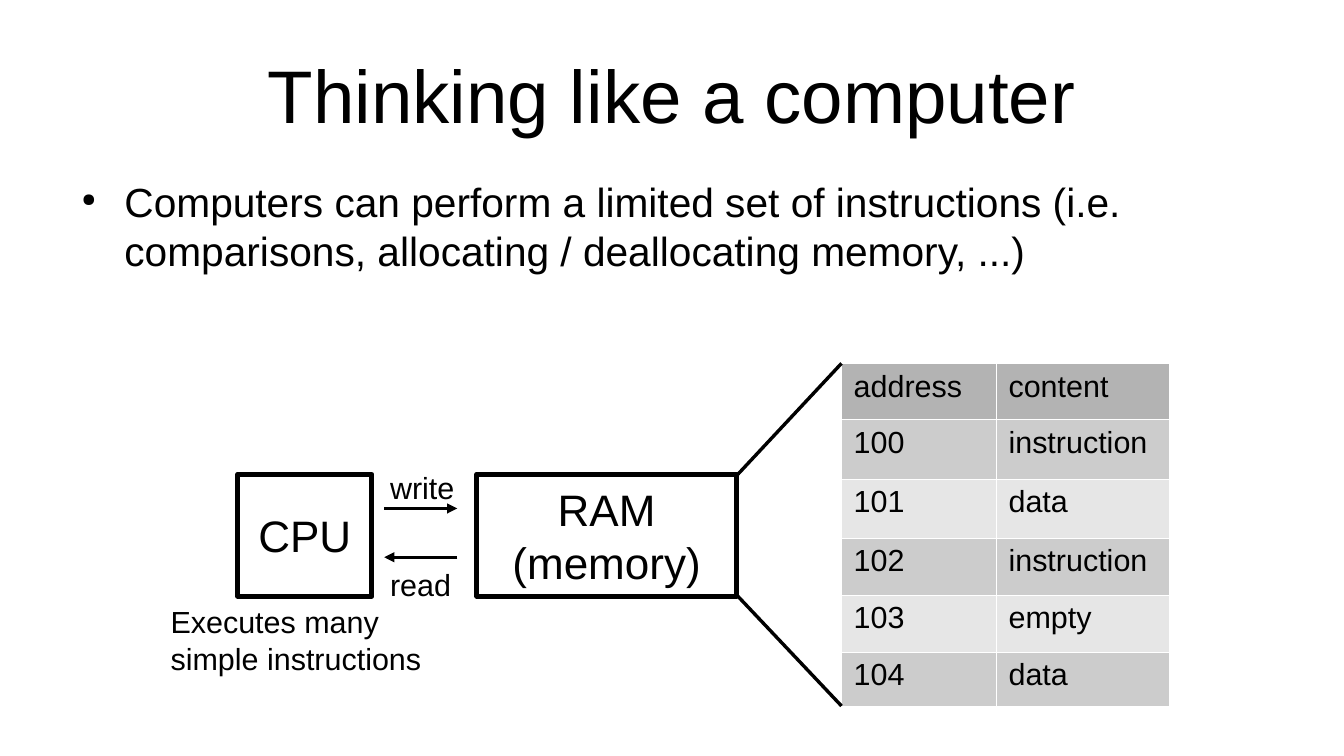
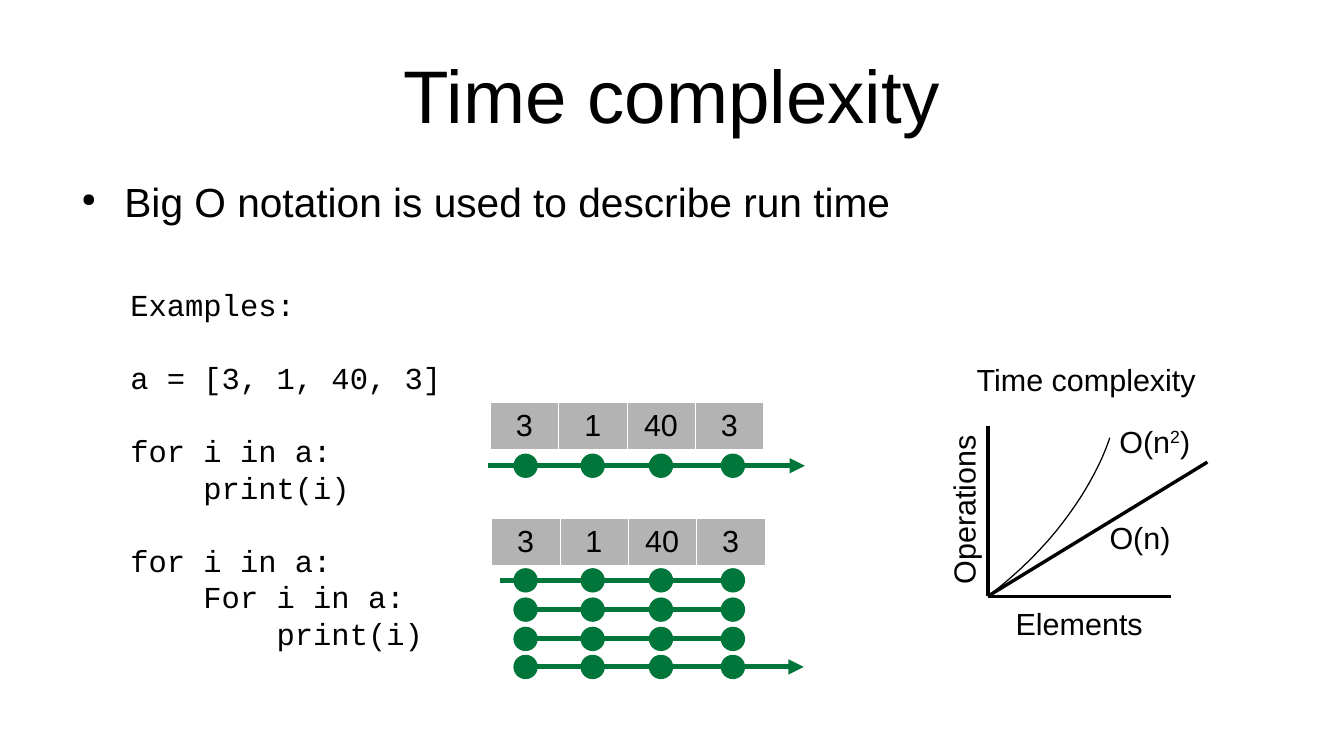
from lxml import etree
from pptx import Presentation
from pptx import util as u
from pptx.dml import color
from pptx.enum import shapes, text
from pptx.oxml import ns

COLORS = {
    "ink": "000000",
    "paper": "FFFFFF",
    "green": "00763B",
    "header": "B3B3B3",
    "odd": "CCCCCC",
    "even": "E6E6E6",
}
RGB = {name: color.RGBColor.from_string(value) for name, value in COLORS.items()}
LEFT, CENTER = text.PP_ALIGN.LEFT, text.PP_ALIGN.CENTER
TOP, MIDDLE = text.MSO_ANCHOR.TOP, text.MSO_ANCHOR.MIDDLE


def write(holder, lines, size=18, font="Arial", align=LEFT, anchor=TOP,
          margins=(0.1, 0.05), wrap=False, gaps=(), bullet=False):
    frame = holder.text_frame
    side, edge = (u.Inches(margin) for margin in margins)
    if wrap is not None:
        frame.word_wrap = wrap
        frame.auto_size = text.MSO_AUTO_SIZE.NONE
        frame.vertical_anchor = anchor
        frame.margin_left = frame.margin_right = side
        frame.margin_top = frame.margin_bottom = edge
    for index, line in enumerate(lines):
        paragraph = frame.paragraphs[0] if index == 0 else frame.add_paragraph()
        paragraph.alignment = align
        if index in gaps:
            paragraph.space_before = u.Pt(21.5)
        if bullet:
            properties = paragraph._p.get_or_add_pPr()
            properties.set("marL", str(u.Inches(0.47)))
            properties.set("indent", str(u.Inches(-0.35)))
            bullet_color = etree.SubElement(properties, ns.qn("a:buClr"))
            etree.SubElement(bullet_color, ns.qn("a:srgbClr"), val=COLORS["ink"])
            etree.SubElement(properties, ns.qn("a:buSzPct"), val="45000")
            etree.SubElement(properties, ns.qn("a:buChar"), char="●")
        for position, piece in enumerate(line.split("^")):
            run = paragraph.add_run()
            run.text = piece
            run.font.size = u.Pt(size)
            run.font.name = font
            run.font.color.rgb = RGB["ink"]
            if position % 2:
                run._r.get_or_add_rPr().set("baseline", "33000")


def draw_line(slide, start, end, ink="ink", width=0, arrow=False):
    points = [u.Inches(value) for value in (*start, *end)]
    line = slide.shapes.add_connector(shapes.MSO_CONNECTOR.STRAIGHT, *points)
    line.line.color.rgb = RGB[ink]
    line.line.width = u.Pt(width)
    if arrow:
        etree.SubElement(line.line._get_or_add_ln(), ns.qn("a:tailEnd"), type="triangle")
    etree.SubElement(line._element.spPr, ns.qn("a:effectLst"))


presentation = Presentation()
presentation.slide_width = u.Inches(11.02)
presentation.slide_height = u.Inches(6.2)

slides = []
for title_text, bullet_text in [
    ("Thinking like a computer",
     "Computers can perform a limited set of instructions (i.e. comparisons, "
     "allocating / deallocating memory, ...)"),
    ("Time complexity", "Big O notation is used to describe run time"),
]:
    slide = presentation.slides.add_slide(presentation.slide_layouts[5])
    title = slide.shapes.title
    title.left, title.top = u.Inches(0.55), u.Inches(0.25)
    title.width, title.height = u.Inches(9.92), u.Inches(1.04)
    write(title, [title_text], size=44, align=CENTER, anchor=MIDDLE, margins=(0, 0), wrap=True)
    body = slide.shapes.add_textbox(u.Inches(0.55), u.Inches(1.45), u.Inches(9.92), u.Inches(3.6))
    write(body, [bullet_text], size=24, margins=(0, 0), wrap=True, bullet=True)
    slides.append(slide)
computer, complexity = slides

memory_rows = [
    ("address", "content"),
    ("100", "instruction"),
    ("101", "data"),
    ("102", "instruction"),
    ("103", "empty"),
    ("104", "data"),
]
array_rows = [("3", "1", "40", "3")]
for slide, left, top, widths, heights, rows, align, anchor in [
    (computer, 6.9, 2.98, [1.27, 1.42], [0.46, 0.49, 0.48, 0.47, 0.47, 0.44],
     memory_rows, LEFT, TOP),
    (complexity, 4.02, 3.3, [0.56] * 4, [0.38], array_rows, CENTER, MIDDLE),
    (complexity, 4.03, 4.25, [0.56] * 4, [0.38], array_rows, CENTER, MIDDLE),
]:
    table = slide.shapes.add_table(
        len(rows), len(widths), u.Inches(left), u.Inches(top),
        u.Inches(sum(widths)), u.Inches(sum(heights))).table
    table.first_row = table.horz_banding = False
    for column, width in zip(table.columns, widths):
        column.width = u.Inches(width)
    for row_index, (row, height) in enumerate(zip(rows, heights)):
        table.rows[row_index].height = u.Inches(height)
        fill = "header" if row_index == 0 else "odd" if row_index % 2 else "even"
        for column_index, value in enumerate(row):
            cell = table.cell(row_index, column_index)
            cell.fill.solid()
            cell.fill.fore_color.rgb = RGB[fill]
            cell.vertical_anchor = anchor
            cell.margin_left = cell.margin_right = u.Inches(0.1)
            cell.margin_top = cell.margin_bottom = u.Inches(0.05)
            write(cell, [value], align=align, wrap=None)
            properties = cell._tc.get_or_add_tcPr()
            for position, side in enumerate(("lnL", "lnR", "lnT", "lnB")):
                border = etree.Element(ns.qn("a:" + side), w=str(u.Pt(0.06)))
                border_fill = etree.SubElement(border, ns.qn("a:solidFill"))
                etree.SubElement(border_fill, ns.qn("a:srgbClr"), val=COLORS["paper"])
                properties.insert(position, border)

for left, width, lines in [(1.95, 1.1, ["CPU"]), (3.91, 2.13, ["RAM", "(memory)"])]:
    box = computer.shapes.add_shape(
        shapes.MSO_SHAPE.RECTANGLE, u.Inches(left), u.Inches(3.89), u.Inches(width), u.Inches(1))
    box.shadow.inherit = False
    box.fill.solid()
    box.fill.fore_color.rgb = RGB["paper"]
    box.line.color.rgb = RGB["ink"]
    box.line.width = u.Pt(3)
    write(box, lines, size=26, align=CENTER, anchor=MIDDLE, margins=(0.12, 0.07))

draw_line(computer, (3.15, 4.17), (3.75, 4.17), arrow=True)
draw_line(computer, (3.75, 4.57), (3.15, 4.57), arrow=True)
draw_line(computer, (6.05, 3.89), (6.9, 2.98))
draw_line(computer, (6.05, 4.89), (6.9, 5.79))

code = complexity.shapes.add_textbox(u.Inches(0.97), u.Inches(2.3), u.Inches(2.83), u.Inches(3.87))
write(code, [
    "Examples:",
    "a = [3, 1, 40, 3]",
    "for i in a:",
    "    print(i)",
    "for i in a:",
    "    For i in a:",
    "        print(i)",
], font="Courier New", gaps=(1, 2, 4))

DOT = 0.2
for start, end, middle, arrow in [
    (4, 6.6, 3.82, True),
    (4.1, 6.04, 4.76, False),
    (4.3, 6.04, 5, False),
    (4.3, 6.04, 5.24, False),
    (4.3, 6.59, 5.47, True),
]:
    draw_line(complexity, (start, middle), (end, middle), "green", 3, arrow)
    for left in (4.21, 4.76, 5.32, 5.91):
        dot = complexity.shapes.add_shape(
            shapes.MSO_SHAPE.OVAL, u.Inches(left), u.Inches(middle - DOT / 2),
            u.Inches(DOT), u.Inches(DOT))
        dot.shadow.inherit = False
        dot.fill.solid()
        dot.fill.fore_color.rgb = RGB["green"]
        dot.line.fill.background()

origin = (8.1, 4.89)
for end in [(8.1, 3.49), (9.6, 4.89), (9.9, 3.79)]:
    draw_line(complexity, origin, end)

controls = [origin, (8.9, 4.29), (9.1, 3.59), (9.1, 3.59)]
STEPS = 24
curve_points = []
for step in range(STEPS + 1):
    t = step / STEPS
    weights = ((1 - t) ** 3, 3 * t * (1 - t) ** 2, 3 * t ** 2 * (1 - t), t ** 3)
    curve_points.append(tuple(
        u.Inches(sum(weight * point[axis] for weight, point in zip(weights, controls)))
        for axis in (0, 1)))
builder = complexity.shapes.build_freeform(*curve_points[0])
builder.add_line_segments(curve_points[1:], close=False)
curve = builder.convert_to_shape()
curve.shadow.inherit = False
curve.fill.background()
curve.line.color.rgb = RGB["ink"]
curve.line.width = u.Pt(0)

for slide, left, top, width, height, rotation, lines in [
    (computer, 3.1, 3.8, 0.73, 0.38, 0, ["write"]),
    (computer, 3.1, 4.59, 0.7, 0.38, 0, ["read"]),
    (computer, 1.3, 4.9, 2.25, 0.66, 0, ["Executes many", "simple instructions"]),
    (complexity, 8.23, 4.91, 1.24, 0.38, 0, ["Elements"]),
    (complexity, 7.91, 2.91, 1.99, 0.38, 0, ["Time complexity"]),
    (complexity, 7.18, 3.99, 1.42, 0.38, 270, ["Operations"]),
    (complexity, 9, 4.21, 0.7, 0.38, 0, ["O(n)"]),
    (complexity, 9.08, 3.42, 0.78, 0.38, 0, ["O(n^2^)"]),
]:
    label = slide.shapes.add_textbox(
        u.Inches(left), u.Inches(top), u.Inches(width), u.Inches(height))
    label.rotation = rotation
    write(label, lines)

presentation.save("out.pptx")
